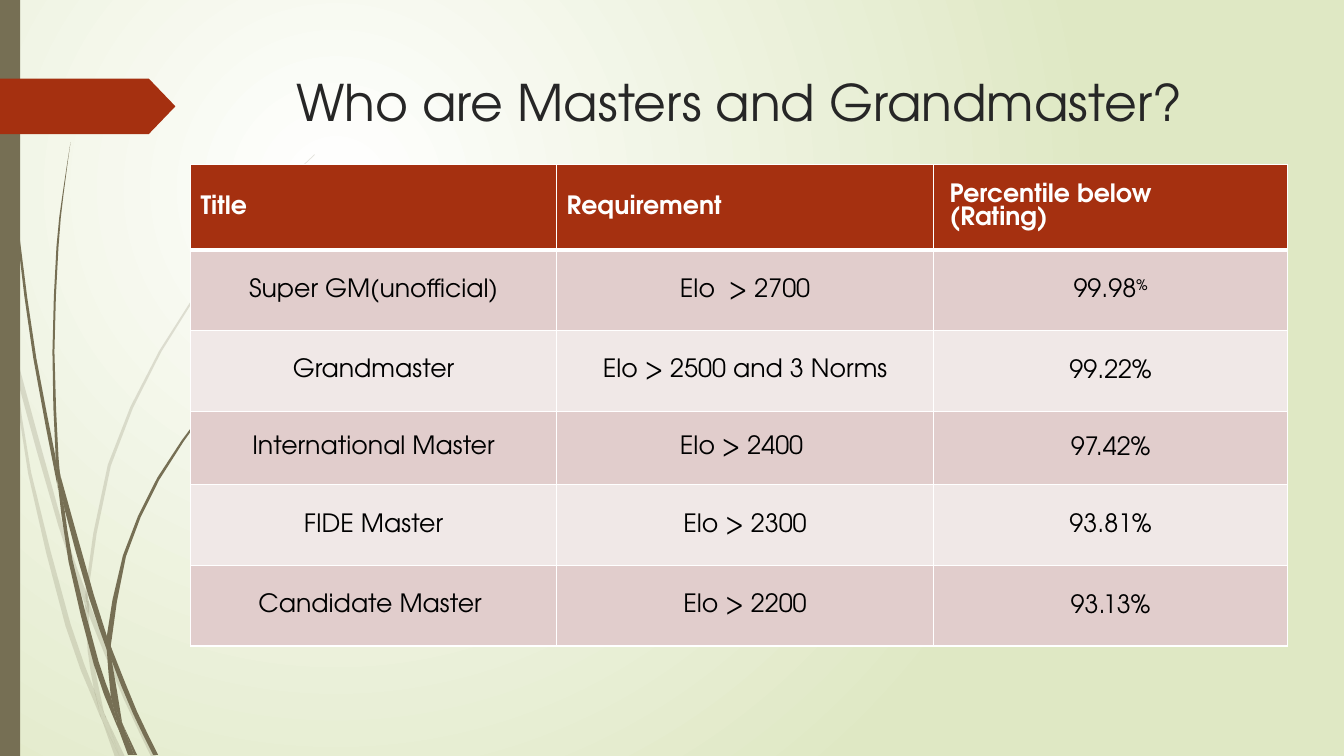
import pptx
import pptx.util
import pptx.dml.color
import pptx.enum.shapes
import pptx.enum.text
import pptx.oxml
import pptx.oxml.ns
from pptx.util import Cm

# Content
HEADING = "Who are Masters and Grandmaster?"
# A line feed is a line break; a caret starts a superscript
RANKS = [
    ("Title", "Requirement", "Percentile below\n(Rating)"),
    ("Super GM(unofficial)", "Elo  > 2700", "99.98^%"),
    ("Grandmaster", "Elo > 2500 and 3 Norms", "99.22%"),
    ("International Master", "Elo > 2400 ", "97.42%"),
    ("FIDE Master", "Elo > 2300", "93.81%"),
    ("Candidate Master ", "Elo > 2200", "93.13%"),
]
COLUMN_WIDTHS = [3.63, 3.74, 3.51]
ROW_HEIGHTS = [0.85, 0.8, 0.8, 0.73, 0.8, 0.8]
FONT = "TeX Gyre Adventor"
OLIVE, RUST, WHITE = "766F54", "A53010", "FFFFFF"
BANDS = ["F0E8E7", "E1CDCC"]

# Grass blade sections: left edge and right edge, each from top to bottom
PALE_BLADES = [
    ([(0, 2.82), (0, 2.99), (0.1, 3.44), (0.11, 3.5)],
     [(0, 2.82), (0.09, 3.22), (0.11, 3.5)]),
    ([(0.14, 3.45), (0.17, 3.76), (0.58, 5.22), (0.84, 5.99)],
     [(0.14, 3.45), (0.62, 5.2), (0.85, 5.86)]),
    ([(0.88, 5.96), (0.88, 6.1), (1.23, 6.94), (1.5, 7.51)],
     [(0.88, 5.96), (0.92, 6.07), (1.27, 6.92), (1.55, 7.51)]),
    ([(1.05, 7.11), (1.19, 7.51)], [(1.05, 7.11), (1.24, 7.51)]),
    ([(0.11, 3.5), (0.28, 4.7), (0.65, 6.21), (0.92, 6.93), (1.01, 7.14)],
     [(0.11, 3.5), (0.17, 3.76), (0.31, 4.69), (0.7, 6.19), (0.93, 6.83),
      (0.99, 7.07), (1.01, 7.14)]),
    ([(0.84, 5.99), (0.87, 6.46), (0.93, 6.83), (0.96, 6.92), (1.05, 7.11)],
     [(0.84, 5.99), (0.88, 6.1), (0.91, 6.46), (1.03, 7.06), (1.05, 7.11)]),
    ([(3.12, 1.53), (2.89, 1.75), (2.68, 1.97), (2.28, 2.44), (1.58, 3.48),
      (1.07, 4.61), (0.85, 5.84), (0.88, 5.96)],
     [(3.12, 1.54), (2.9, 1.75), (2.68, 1.98), (2.29, 2.45), (1.6, 3.49),
      (1.1, 4.62), (0.88, 5.84), (0.88, 5.96)]),
    ([(1.01, 7.14), (1.14, 7.51)], [(1.01, 7.14), (1.19, 7.51)]),
    ([(0.85, 5.86), (0.84, 5.99), (0.88, 6.1)],
     [(0.85, 5.86), (0.88, 5.96), (0.88, 6.1)]),
    ([(0.93, 6.83), (0.99, 7.07), (1.01, 7.14), (1.19, 7.51)],
     [(0.93, 6.83), (0.96, 6.92), (1.05, 7.11), (1.19, 7.51)]),
]
DARK_BLADES = [
    ([(0.03, 0), (0.04, 0.48), (0.07, 1.1), (0.17, 2.33), (0.33, 3.55),
      (0.56, 4.77), (0.57, 4.81)],
     [(0.04, 0), (0.05, 0.48), (0.08, 1.09), (0.19, 2.32), (0.36, 3.55),
      (0.55, 4.53), (0.57, 4.81)]),
    ([(0.6, 4.72), (0.64, 5.05), (0.88, 5.92), (1.06, 6.45)],
     [(0.6, 4.72), (0.93, 5.9), (1.06, 6.31), (1.06, 6.45)]),
    ([(1.1, 6.41), (1.11, 6.56), (1.32, 7.08), (1.52, 7.49)],
     [(1.1, 6.41), (1.13, 6.49), (1.36, 7.06), (1.57, 7.49)]),
    ([(0.57, 4.77), (0.68, 5.57), (0.93, 6.59), (1.11, 7.08), (1.17, 7.22)],
     [(0.57, 4.77), (0.64, 5.05), (0.72, 5.56), (0.98, 6.57), (1.1, 6.91),
      (1.17, 7.22)]),
    ([(0.7, 1.41), (0.62, 1.93), (0.56, 2.45), (0.52, 3.49), (0.55, 4.49),
      (0.6, 4.72)],
     [(0.7, 1.41), (0.63, 1.93), (0.58, 2.45), (0.54, 3.49), (0.58, 4.53),
      (0.6, 4.72)]),
    ([(1.22, 7.19), (1.33, 7.49)], [(1.22, 7.19), (1.36, 7.49)]),
    ([(0.55, 4.49), (0.57, 4.77), (0.64, 5.05)],
     [(0.55, 4.49), (0.6, 4.72), (0.64, 5.05)]),
    ([(2.6, 3.44), (2.45, 3.58), (2.31, 3.73), (2.04, 4.05), (1.56, 4.74),
      (1.22, 5.51), (1.06, 6.31), (1.1, 6.41)],
     [(2.6, 3.44), (2.45, 3.59), (2.31, 3.74), (2.05, 4.06), (1.58, 4.76),
      (1.25, 5.52), (1.11, 6.33), (1.1, 6.41)]),
    ([(1.17, 7.22), (1.27, 7.49)], [(1.17, 7.22), (1.31, 7.49)]),
    ([(1.06, 6.45), (1.1, 6.91), (1.16, 7.06), (1.22, 7.19)],
     [(1.06, 6.45), (1.11, 6.56), (1.21, 7.16), (1.22, 7.19)]),
    ([(1.06, 6.31), (1.06, 6.45), (1.11, 6.56)],
     [(1.06, 6.31), (1.1, 6.41), (1.11, 6.56)]),
    ([(1.1, 6.91), (1.16, 7.17), (1.17, 7.22), (1.3, 7.49)],
     [(1.1, 6.91), (1.16, 7.06), (1.22, 7.19), (1.33, 7.49)]),
]


# Helpers
def inch(value):
    return Cm(value * 2.54)


def color(hex_code):
    return pptx.dml.color.RGBColor.from_string(hex_code)


def xml(tag, inner="", **attributes):
    listed = "".join(f' {key}="{value}"' for key, value in attributes.items())
    return pptx.oxml.parse_xml(
        f'<a:{tag} {pptx.oxml.ns.nsdecls("a")}{listed}>{inner}</a:{tag}>')


def paint(shape, hex_code, alpha=None):
    shape.shadow.inherit = False
    shape.fill.solid()
    shape.fill.fore_color.rgb = color(hex_code)
    shape.line.fill.background()
    if alpha:
        tint = next(shape.element.spPr.iter(pptx.oxml.ns.qn("a:srgbClr")))
        tint.append(xml("alpha", val=alpha * 1000))


def smooth(points):
    """Add a point halfway along the Catmull-Rom curve of each span."""
    padded = [points[0], *points, points[-1]]
    curve = []
    for a, b, c, d in zip(padded, padded[1:], padded[2:], padded[3:]):
        curve += [b, tuple((9 * (q + r) - p - s) / 16 for p, q, r, s in zip(a, b, c, d))]
    return curve + [points[-1]]


def add_blade(left_edge, right_edge, alpha=None):
    outline = [(inch(x), inch(y))
               for x, y in smooth(left_edge) + smooth(right_edge)[::-1]]
    builder = slide.shapes.build_freeform(*outline[0], scale=1.0)
    builder.add_line_segments(outline[1:], close=True)
    paint(builder.convert_to_shape(), OLIVE, alpha)


def add_run(paragraph, text, size, hex_code, bold=False):
    run = paragraph.add_run()
    run.text = text
    run.font.name = FONT
    run.font.size = pptx.util.Pt(size)
    run.font.bold = bold
    run.font.color.rgb = color(hex_code)
    return run


def set_borders(cell, top, bottom):
    properties = cell._tc.get_or_add_tcPr()
    line_fill = f'<a:solidFill><a:srgbClr val="{WHITE}"/></a:solidFill>'
    sides = [("lnL", 1), ("lnR", 1), ("lnT", top), ("lnB", bottom)]
    for position, (side, width) in enumerate(sides):
        properties.insert(position, xml(side, line_fill, w=pptx.util.Pt(width)))


# Slide and background
deck = pptx.Presentation()
deck.slide_width, deck.slide_height = inch(13.33), inch(7.5)
slide = deck.slides.add_slide(deck.slide_layouts[6])
glow = slide.background.fill
glow.gradient()
for stop, hex_code, place in zip(glow.gradient_stops, [WHITE, "DFE8C4"], [0, 1]):
    stop.color.rgb = color(hex_code)
    stop.position = place
direction = next(slide.element.iter(pptx.oxml.ns.qn("a:lin")))
direction.getparent().replace(direction, xml(
    "path", '<a:fillToRect l="50000" t="50000" r="100000" b="100000"/>', path="circle"))

# Grass, side bar and marker
for blades, alpha in [(PALE_BLADES, 20), (DARK_BLADES, None)]:
    for blade in blades:
        add_blade(*blade, alpha)
PRESETS = pptx.enum.shapes.MSO_SHAPE
side_bar = slide.shapes.add_shape(PRESETS.RECTANGLE, 0, 0, inch(0.2), inch(7.5))
paint(side_bar, OLIVE)
marker = slide.shapes.add_shape(
    PRESETS.PENTAGON, 0, inch(0.78), inch(1.74), inch(0.55))
marker.adjustments[0] = 0.48
paint(marker, RUST)

# Heading
heading = slide.shapes.add_textbox(inch(2.84), inch(0.66), inch(9.75), inch(1.4)).text_frame
heading.word_wrap = True
add_run(heading.paragraphs[0], HEADING, 36, "262626")

# Table of ranks
ranks = slide.shapes.add_table(
    len(RANKS), len(COLUMN_WIDTHS), inch(1.89), inch(1.63),
    inch(sum(COLUMN_WIDTHS)), inch(sum(ROW_HEIGHTS))).table
for column, width in zip(ranks.columns, COLUMN_WIDTHS):
    column.width = inch(width)
for row, height in zip(ranks.rows, ROW_HEIGHTS):
    row.height = inch(height)

for r, entries in enumerate(RANKS):
    header = r == 0
    ink = WHITE if header else "000000"
    for c, entry in enumerate(entries):
        cell = ranks.cell(r, c)
        cell.fill.solid()
        cell.fill.fore_color.rgb = color(RUST if header else BANDS[r % 2])
        set_borders(cell, top=3 if r == 1 else 1, bottom=3 if header else 1)
        cell.vertical_anchor = pptx.enum.text.MSO_ANCHOR.MIDDLE
        paragraph = cell.text_frame.paragraphs[0]
        if not header:
            paragraph.alignment = pptx.enum.text.PP_ALIGN.CENTER
            if c == 2:
                cell.margin_left = cell.margin_right = cell.margin_top = inch(0.01)
                cell.margin_bottom = 0
        lines = entry.split("\n")
        if len(lines) > 1:
            paragraph._p.get_or_add_pPr().set("marL", str(inch(0.06)))
        for number, line in enumerate(lines):
            if number:
                paragraph.add_line_break()
            base, _, raised = line.partition("^")
            add_run(paragraph, base, 18, ink, header)
            if raised:
                superscript = add_run(paragraph, raised, 18, ink, header)
                superscript._r.get_or_add_rPr().set("baseline", "30000")

deck.save("out.pptx")
